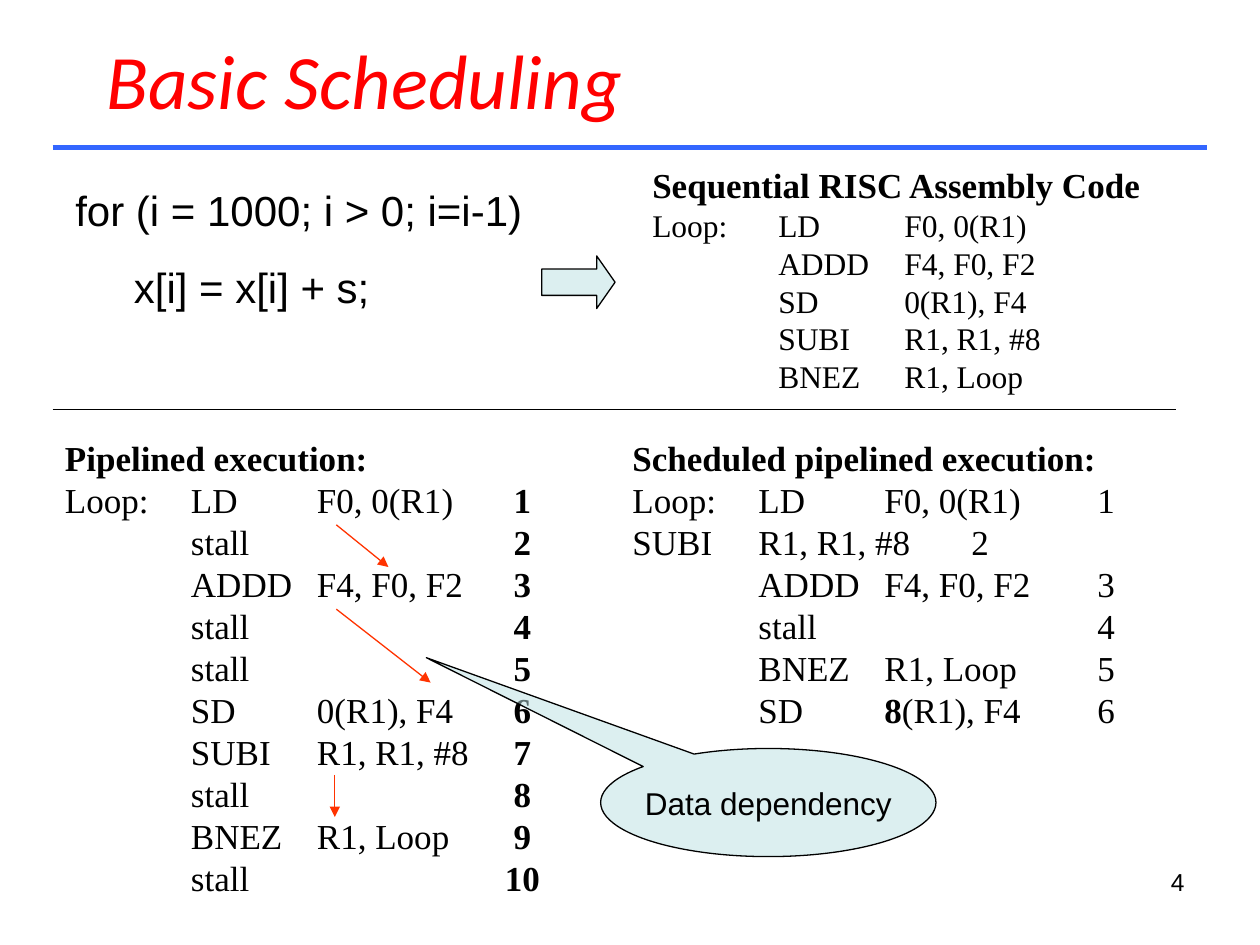
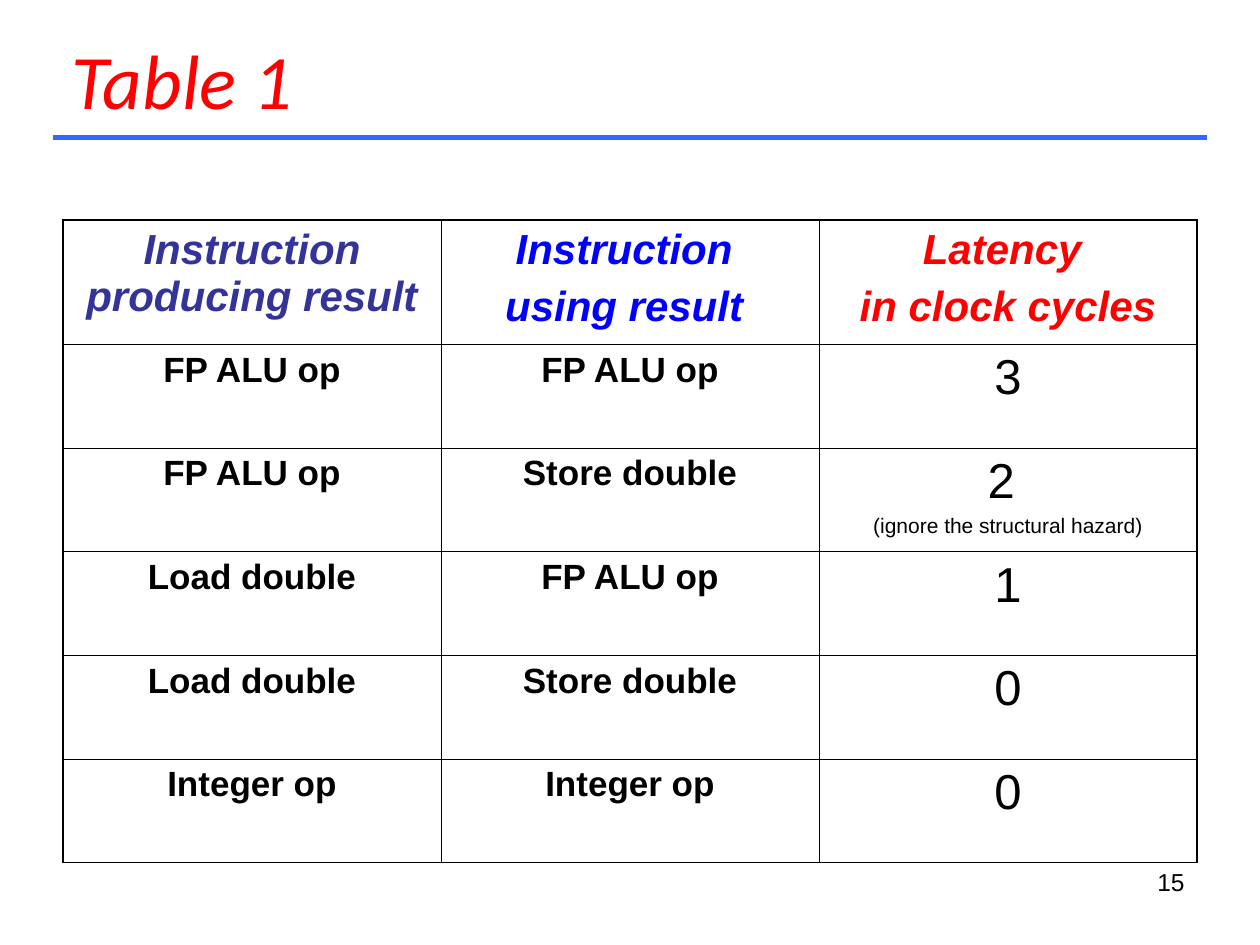
"""Two lecture slides on instruction scheduling and operation latencies."""
from pptx import Presentation
from pptx.dml.color import RGBColor
from pptx.enum.shapes import MSO_CONNECTOR as CONN, MSO_SHAPE as SHAPE
from pptx.enum.text import MSO_ANCHOR as ANCHOR, PP_ALIGN as ALIGN
from pptx.oxml.ns import qn
from pptx.util import Cm, Pt
from lxml.etree import SubElement as Sub

RED = RGBColor(0xFF, 0x00, 0x00)
BLUE = RGBColor(0x00, 0x00, 0xFF)
INDIGO = RGBColor(0x33, 0x33, 0x99)
RULE_BLUE = RGBColor(0x33, 0x66, 0xFF)
ARROW_RED = RGBColor(0xFF, 0x33, 0x00)
PALE_TEAL = RGBColor(0xBB, 0xE0, 0xE3)
BLACK = RGBColor(0x00, 0x00, 0x00)
SANS, TITLE_FONT, SERIF = "Arial", "Calibri", "Times New Roman"


def write(tf, text, size, font=SANS, color=BLACK, bold=False, italic=False,
          before=0, align=None, tabs=()):
    """Add one paragraph; a bar in the text switches bold on and off."""
    p = tf.paragraphs[0]
    if p.runs:
        p = tf.add_paragraph()
    p.alignment = align
    p.space_before = Pt(before)
    if tabs:
        stops = Sub(p._p.get_or_add_pPr(), qn("a:tabLst"))
        for pos, kind in tabs:
            Sub(stops, qn("a:tab"), pos=str(Cm(pos)), algn=kind)
    for i, part in enumerate(text.split("|")):
        if part:
            r = p.add_run()
            r.text = part
            r.font.size, r.font.name = Pt(size), font
            r.font.bold, r.font.italic = bold != (i % 2 == 1), italic
            r.font.color.rgb = color
    return p


def add_line(s, x1, y1, x2, y2, color, width=0.75, arrow=False):
    """Draw a straight line, with an arrowhead at its end if asked."""
    c = s.shapes.add_connector(CONN.STRAIGHT, Cm(x1), Cm(y1), Cm(x2), Cm(y2))
    c.line.color.rgb = color
    c.line.width = Pt(width)
    if arrow:
        Sub(c._element.spPr.find(qn("a:ln")), qn("a:tailEnd"), type="triangle")
    Sub(c._element.spPr, qn("a:effectLst"))


prs = Presentation()
prs.slide_width, prs.slide_height = Cm(25.4), Cm(19.05)

slides = []
for title, left, rule_y, number in [("Basic Scheduling", 1.9, 2.97, "4"),
                                    ("Table 1", 1.2, 2.77, "15")]:
    s = prs.slides.add_slide(prs.slide_layouts[6])
    tf = s.shapes.add_textbox(Cm(left), 0, Cm(21.6), Cm(3.18)).text_frame
    tf.word_wrap = True
    tf.vertical_anchor = ANCHOR.MIDDLE
    write(tf, title, 44, TITLE_FONT, RED, italic=True)
    add_line(s, 1.06, rule_y, 24.34, rule_y, RULE_BLUE, 3)
    tf = s.shapes.add_textbox(Cm(18.2), Cm(17.36), Cm(5.93), Cm(1.32)).text_frame
    tf.word_wrap = True
    write(tf, number, 14, align=ALIGN.RIGHT)
    slides.append(s)

s = slides[0]
tf = s.shapes.add_textbox(Cm(1.27), Cm(3.6), Cm(10.6), Cm(2.82)).text_frame
tf.word_wrap = True
write(tf, "for (i = 1000; i > 0; i=i-1)", 24, before=15)
p = write(tf, "x[i] = x[i] + s;", 24, before=15)
p._p.get_or_add_pPr().set("marL", str(Cm(1.18)))

COLS = [(2.54, "l"), (5.08, "l")]
listings = [
    (12.9, 3.18, 4.93, 18, COLS, "Sequential RISC Assembly Code",
     ["Loop:\tLD\tF0, 0(R1)", "\tADDD\tF4, F0, F2", "\tSD\t0(R1), F4",
      "\tSUBI\tR1, R1, #8", "\tBNEZ\tR1, Loop"]),
    (1.06, 8.68, 9.58, 20, COLS + [(9.22, "ctr")], "Pipelined execution:",
     ["Loop:\tLD\tF0, 0(R1)\t|1", "\tstall\t\t|2", "\tADDD\tF4, F0, F2\t|3",
      "\tstall\t\t|4", "\tstall\t\t|5", "\tSD\t0(R1), F4\t|6",
      "\tSUBI\tR1, R1, #8\t|7", "\tstall\t\t|8", "\tBNEZ\tR1, Loop\t|9",
      "\tstall\t\t|10"]),
    (12.5, 8.68, 7.04, 20, COLS + [(9.55, "ctr")], "Scheduled pipelined execution:",
     ["Loop:\tLD\tF0, 0(R1)\t1", "SUBI\tR1, R1, #8\t2", "\tADDD\tF4, F0, F2\t3",
      "\tstall\t\t4", "\tBNEZ\tR1, Loop\t5", "\tSD\t|8|(R1), F4\t6"]),
]
for x, y, h, size, tabs, heading, rows in listings:
    tf = s.shapes.add_textbox(Cm(x), Cm(y), Cm(11), Cm(h)).text_frame
    tf.word_wrap = True
    write(tf, heading, 20, SERIF, bold=True, before=12.5)
    for row in rows:
        stops = [(2.54, "l"), (7.01, "ctr")] if row.startswith("SUBI") else tabs
        write(tf, row, size, SERIF, tabs=stops)

add_line(s, 1.06, 8.26, 23.7, 8.26, BLACK)
for ends in [(6.78, 10.58, 7.83, 11.43), (6.78, 12.28, 8.68, 13.76),
             (6.75, 15.62, 6.75, 16.47)]:
    add_line(s, *ends, ARROW_RED, arrow=True)

for kind, x, y, w, h, adj in [
        (SHAPE.RIGHT_ARROW, 10.92, 5.16, 1.48, 1.06, (0.5, 0.35)),
        (SHAPE.OVAL_CALLOUT, 12.11, 15.09, 6.76, 2.18, (-1.02, -1.34))]:
    sp = s.shapes.add_shape(kind, Cm(x), Cm(y), Cm(w), Cm(h))
    sp.shadow.inherit = False
    for i, value in enumerate(adj):
        sp.adjustments[i] = value
    sp.fill.solid()
    sp.fill.fore_color.rgb = PALE_TEAL
    fill = sp._element.spPr.find(qn("a:solidFill"))
    Sub(fill[0], qn("a:alpha"), val="50000")
    sp.line.color.rgb = BLACK
    sp.line.width = Pt(0.75)
tf = sp.text_frame
tf.word_wrap = False
tf.vertical_anchor = ANCHOR.MIDDLE
write(tf, "Data dependency", 18, align=ALIGN.CENTER)

s = slides[1]
headings = [(["Instruction producing result"], INDIGO),
            (["Instruction ", "using result "], BLUE),
            (["Latency ", "in clock cycles"], RED)]
latencies = [("FP ALU op", "FP ALU op", "3"),
             ("FP ALU op", "Store double", "2 "),
             ("Load double", "FP ALU op", "1"),
             ("Load double", "Store double", "0"),
             ("Integer op", "Integer op", "0")]
n_rows, n_cols = len(latencies) + 1, len(headings)
tbl = s.shapes.add_table(n_rows, n_cols, Cm(1.27), Cm(4.44),
                         Cm(22.86), Cm(12.95)).table
tbl.first_row = tbl.horz_banding = False
for col in tbl.columns:
    col.width = Cm(7.62)
for i, row in enumerate(tbl.rows):
    row.height = Cm(2.09 if i else 2.5)

for j, (lines, color) in enumerate(headings):
    for text in lines:
        write(tbl.cell(0, j).text_frame, text, 24, color=color, bold=True,
              italic=True, before=6, align=ALIGN.CENTER)
for i, (producer, user, cycles) in enumerate(latencies, 1):
    for j, text in enumerate((producer, user)):
        write(tbl.cell(i, j).text_frame, text, 20, bold=True, before=5,
              align=ALIGN.CENTER)
    write(tbl.cell(i, 2).text_frame, cycles, 28, before=7, align=ALIGN.CENTER)
write(tbl.cell(2, 2).text_frame, "(ignore the structural hazard)", 12,
      before=3, align=ALIGN.CENTER)

for i in range(n_rows):
    for j in range(n_cols):
        cell = tbl.cell(i, j)
        cell.fill.background()
        tcPr = cell._tc.get_or_add_tcPr()
        sides = [("L", j == 0), ("R", j == n_cols - 1),
                 ("T", i == 0), ("B", i == n_rows - 1)]
        for k, (side, outer) in enumerate(sides):
            ln = Sub(tcPr, qn("a:ln" + side), w=str(Pt(1.08 if outer else 0.45)))
            Sub(Sub(ln, qn("a:solidFill")), qn("a:srgbClr"), val=str(BLACK))
            tcPr.insert(k, ln)

prs.save("out.pptx")
